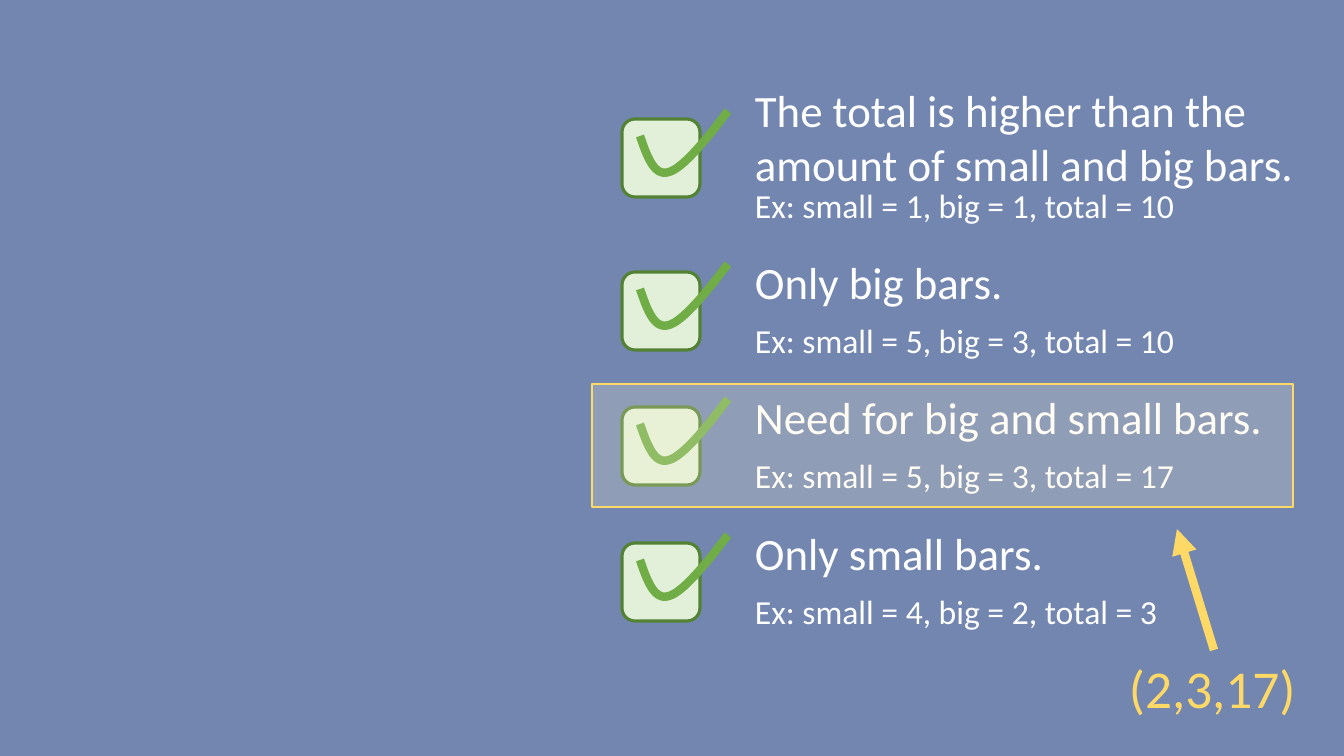
from lxml import etree
from pptx import Presentation
from pptx import util as u
from pptx.dml.color import RGBColor
from pptx.enum import shapes, text
from pptx.oxml import ns

PIXEL = 12192000 / 1344
COLORS = {
    "background": "7286B0", "white": "FFFFFF", "gold": "FFD966", "highlight": "FFF2CC",
    "box": "E2F0D9", "box_line": "548235", "check": "70AD47",
}
CHECK_START = (18, 17)
CHECK_CURVES = [[(25, 37), (32, 58), (47, 53)], [(61, 49), (84, 21), (106, -8)]]
CURVE_STEPS = 16
ROW_LEFT, ROW_WIDTH = 622, 696
ROWS = [
    (78, 41, 102, "The total is higher than the amount of small and big bars.",
     "Ex: small = 1, big = 1, total = 10"),
    (250, 22, 65, "Only big bars.", "Ex: small = 5, big = 3, total = 10"),
    (385, 22, 65, "Need for big and small bars.", "Ex: small = 5, big = 3, total = 17"),
    (521, 22, 65, "Only small bars.", "Ex: small = 4, big = 2, total = 3"),
]


def px(value):
    return u.Emu(round(value * PIXEL))


def color(name):
    return RGBColor.from_string(COLORS[name])


def set_line(shape, name, points):
    shape.line.color.rgb = color(name)
    shape.line.width = u.Pt(points)


def add_box(slide, preset, box, fill, line, points):
    shape = slide.shapes.add_shape(preset, *map(px, box))
    shape.shadow.inherit = False
    shape.fill.solid()
    shape.fill.fore_color.rgb = color(fill)
    set_line(shape, line, points)
    return shape


def add_text(slide, box, words, size, name="white", wrap=False):
    frame = slide.shapes.add_textbox(*map(px, box)).text_frame
    frame.word_wrap = wrap
    frame.auto_size = text.MSO_AUTO_SIZE.SHAPE_TO_FIT_TEXT
    paragraph = frame.paragraphs[0]
    paragraph.text = words
    paragraph.font.name = "Calibri"
    paragraph.font.size = u.Pt(size)
    paragraph.font.color.rgb = color(name)


def curve_points(start, controls):
    nodes = [start, *controls]
    for step in range(1, CURVE_STEPS + 1):
        t = step / CURVE_STEPS
        weights = ((1 - t) ** 3, 3 * t * (1 - t) ** 2, 3 * t ** 2 * (1 - t), t ** 3)
        yield tuple(sum(w * node[axis] for w, node in zip(weights, nodes)) for axis in (0, 1))


def add_checkbox(slide, left, top, size):
    add_box(slide, shapes.MSO_SHAPE.ROUNDED_RECTANGLE, (left, top, size, size),
            "box", "box_line", 2.25)
    points = [CHECK_START]
    for controls in CHECK_CURVES:
        points.extend(curve_points(points[-1], controls))
    outline = [(px(left + x), px(top + y)) for x, y in points]
    builder = slide.shapes.build_freeform(*outline[0])
    builder.add_line_segments(outline[1:], close=False)
    check = builder.convert_to_shape()
    check.shadow.inherit = False
    check.fill.background()
    set_line(check, "check", 6)


def add_case(slide, left, top, width, box_offset, example_offset, title, example):
    text_left = left + 123
    title_height = 119 if example_offset > 100 else 64
    add_checkbox(slide, left, top + box_offset, 78)
    add_text(slide, (text_left, top, width - 123, title_height), title, 32, wrap=True)
    add_text(slide, (text_left, top + example_offset, 442, 50), example, 24)


def add_highlight(slide, left, top, width, height):
    frame = add_box(slide, shapes.MSO_SHAPE.RECTANGLE, (left, top, width, height),
                    "highlight", "gold", 1)
    fill_color = frame.fill._xPr.find(ns.qn("a:solidFill"))[0]
    etree.SubElement(fill_color, ns.qn("a:alpha"), val="22000")


def add_callout(slide, left, top, width, height):
    arrow = slide.shapes.add_connector(
        shapes.MSO_CONNECTOR.STRAIGHT,
        px(left + 95), px(top + 121), px(left + 58), px(top))
    set_line(arrow, "gold", 6)
    etree.SubElement(arrow.line._get_or_add_ln(), ns.qn("a:tailEnd"), type="triangle")
    etree.SubElement(arrow._element.spPr, ns.qn("a:effectLst"))
    add_text(slide, (left, top + 121, width, height - 121), "(2,3,17)", 38, "gold")


presentation = Presentation()
presentation.slide_width, presentation.slide_height = px(1344), px(756)
slide = presentation.slides.add_slide(presentation.slide_layouts[6])
slide.background.fill.solid()
slide.background.fill.fore_color.rgb = color("background")
for top, *case in ROWS:
    add_case(slide, ROW_LEFT, top, ROW_WIDTH, *case)
add_highlight(slide, 592, 384, 701, 123)
add_callout(slide, 1119, 529, 188, 196)
presentation.save("out.pptx")
